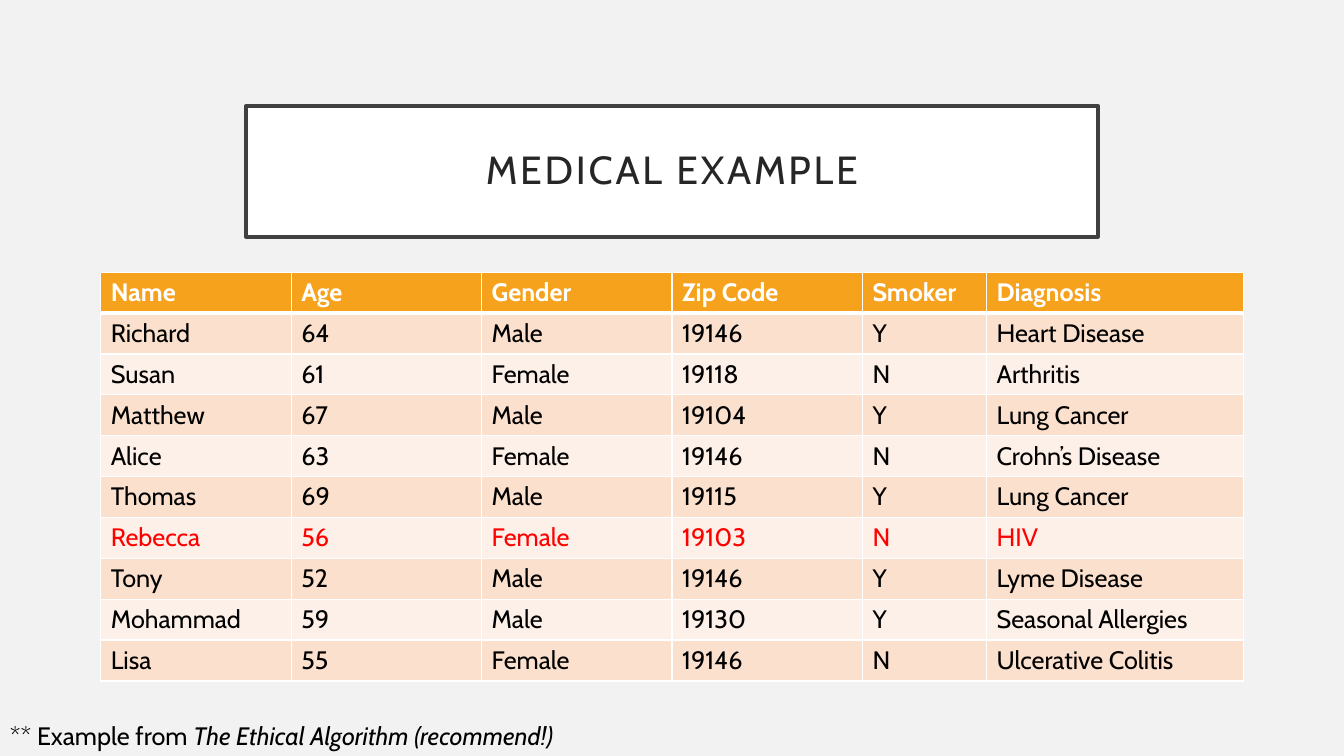
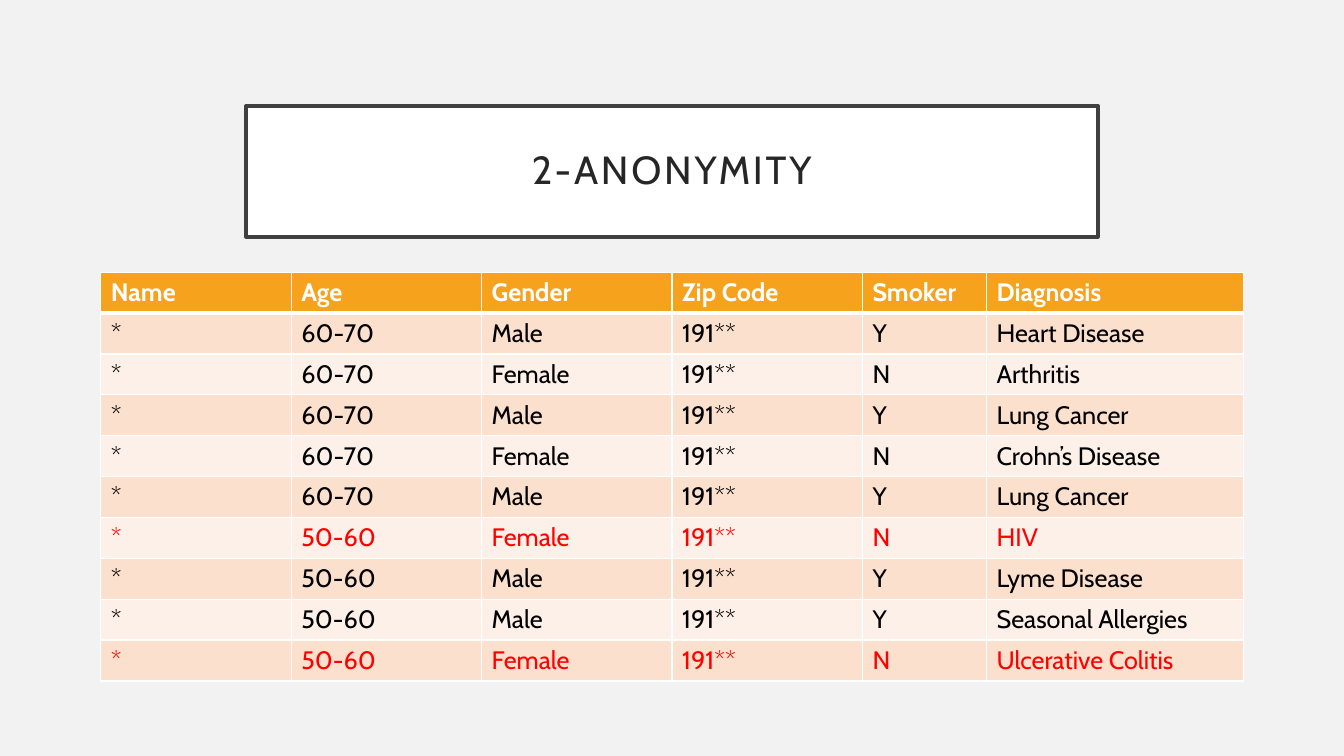
"""Build two slides showing a medical table before and after 2-anonymity."""
import dataclasses
import typing

import lxml.etree
import pptx
import pptx.dml.color
import pptx.enum.text
import pptx.oxml.ns
import pptx.presentation
import pptx.slide
import pptx.table
import pptx.text.text
import pptx.util


@dataclasses.dataclass(frozen=True)
class Theme:
    font: str = "Cabin"
    background: str = "F2F2F2"
    white: str = "FFFFFF"
    frame: str = "404040"
    title: str = "262626"
    header: str = "F6A21D"
    bands: tuple[str, str] = ("FBE0CD", "FDF0E8")
    text: str = "000000"
    highlight: str = "FF0000"
    title_size: float = 28
    body_size: float = 18
    title_tracking: float = 2
    frame_line: float = 2.5
    cell_line: float = 1
    header_line: float = 3


class Area(typing.NamedTuple):
    """A rectangle in percent of the slide's width and height."""
    left: float
    top: float
    width: float
    height: float


class Patient(typing.NamedTuple):
    name: str
    age: str
    gender: str
    zip_code: str
    smoker: str
    diagnosis: str

    def anonymous(self) -> "Patient":
        decade = int(self.age) // 10 * 10
        return self._replace(
            name="*", age=f"{decade}-{decade + 10}", zip_code=self.zip_code[:3] + "**")


class TextPart(typing.NamedTuple):
    text: str
    italic: bool = False


@dataclasses.dataclass(frozen=True)
class TableSlide:
    title: str
    patients: list[Patient]
    highlighted_rows: set[int]
    footnote: tuple[TextPart, ...] = ()


THEME = Theme()
SLIDE_WIDTH, SLIDE_HEIGHT = pptx.util.Inches(13.33), pptx.util.Inches(7.5)
TITLE_AREA = Area(18.3, 14, 63.4, 17.33)
COLUMN_SHARES = (14.17, 14.17, 14.17, 14.17, 9.23, 19.13)
ROW_SHARE = 5.41
FOOTNOTE_AREA = Area(0, 94.67, 42.83, 5.33)
HEADINGS = ("Name", "Age", "Gender", "Zip Code", "Smoker", "Diagnosis")
PATIENTS = [
    Patient("Richard", "64", "Male", "19146", "Y", "Heart Disease"),
    Patient("Susan", "61", "Female", "19118", "N", "Arthritis"),
    Patient("Matthew", "67", "Male", "19104", "Y", "Lung Cancer"),
    Patient("Alice", "63", "Female", "19146", "N", "Crohn’s Disease"),
    Patient("Thomas", "69", "Male", "19115", "Y", "Lung Cancer"),
    Patient("Rebecca", "56", "Female", "19103", "N", "HIV"),
    Patient("Tony", "52", "Male", "19146", "Y", "Lyme Disease"),
    Patient("Mohammad", "59", "Male", "19130", "Y", "Seasonal Allergies"),
    Patient("Lisa", "55", "Female", "19146", "N", "Ulcerative Colitis"),
]
SLIDES = (
    TableSlide(
        "MEDICAL EXAMPLE", PATIENTS, {6},
        (TextPart("** Example from "),
         TextPart("The Ethical Algorithm (recommend!)", italic=True))),
    TableSlide("2-ANONYMITY", [patient.anonymous() for patient in PATIENTS], {6, 9}),
)


def color(value: str) -> pptx.dml.color.RGBColor:
    return pptx.dml.color.RGBColor.from_string(value)


def across(share: float) -> pptx.util.Emu:
    return pptx.util.Emu(round(SLIDE_WIDTH * share / 100))


def down(share: float) -> pptx.util.Emu:
    return pptx.util.Emu(round(SLIDE_HEIGHT * share / 100))


def box(area: Area) -> tuple[pptx.util.Emu, ...]:
    return across(area.left), down(area.top), across(area.width), down(area.height)


def add_run(paragraph: pptx.text.text._Paragraph, text: str, size: float, ink: str,
            bold: bool = False, italic: bool = False) -> pptx.text.text._Run:
    run = paragraph.add_run()
    run.text = text
    run.font.name = THEME.font
    run.font.size = pptx.util.Pt(size)
    run.font.color.rgb = color(ink)
    run.font.bold = bold
    run.font.italic = italic
    return run


def draw_title(slide: pptx.slide.Slide, text: str) -> None:
    shape = slide.shapes.title
    shape.left, shape.top, shape.width, shape.height = box(TITLE_AREA)
    shape.fill.solid()
    shape.fill.fore_color.rgb = color(THEME.white)
    shape.line.color.rgb = color(THEME.frame)
    shape.line.width = pptx.util.Pt(THEME.frame_line)
    frame = shape.text_frame
    frame.word_wrap = True
    frame.auto_size = pptx.enum.text.MSO_AUTO_SIZE.NONE
    frame.vertical_anchor = pptx.enum.text.MSO_ANCHOR.MIDDLE
    inset = pptx.util.Inches(0.2)
    frame.margin_left = frame.margin_right = frame.margin_top = frame.margin_bottom = inset
    paragraph = frame.paragraphs[0]
    paragraph.alignment = pptx.enum.text.PP_ALIGN.CENTER
    paragraph.line_spacing = 0.9
    run = add_run(paragraph, text, THEME.title_size, THEME.title)
    run.font._element.set("spc", str(round(THEME.title_tracking * 100)))


def draw_borders(cell: pptx.table._Cell, row: int) -> None:
    properties = cell._tc.get_or_add_tcPr()
    thick_sides = {0: "lnB", 1: "lnT"}
    for side in ("lnL", "lnR", "lnT", "lnB"):
        width = THEME.header_line if thick_sides.get(row) == side else THEME.cell_line
        line = lxml.etree.SubElement(
            properties, pptx.oxml.ns.qn(f"a:{side}"), w=str(pptx.util.Pt(width)))
        fill = lxml.etree.SubElement(line, pptx.oxml.ns.qn("a:solidFill"))
        lxml.etree.SubElement(fill, pptx.oxml.ns.qn("a:srgbClr"), val=THEME.white)


def draw_cell(cell: pptx.table._Cell, text: str, row: int, highlighted: bool) -> None:
    is_header = row == 0
    draw_borders(cell, row)
    cell.fill.solid()
    cell.fill.fore_color.rgb = color(THEME.header if is_header else THEME.bands[(row - 1) % 2])
    body_ink = THEME.highlight if highlighted else THEME.text
    ink = THEME.white if is_header else body_ink
    add_run(cell.text_frame.paragraphs[0], text, THEME.body_size, ink, bold=is_header)


def draw_table(slide: pptx.slide.Slide, content: TableSlide) -> None:
    rows = [HEADINGS, *content.patients]
    area = Area(7.5, 36, sum(COLUMN_SHARES), ROW_SHARE * len(rows))
    table = slide.shapes.add_table(len(rows), len(HEADINGS), *box(area)).table
    table.horz_banding = False
    for column, share in zip(table.columns, COLUMN_SHARES):
        column.width = across(share)
    for index, values in enumerate(rows):
        table.rows[index].height = down(ROW_SHARE)
        for cell, text in zip(table.rows[index].cells, values):
            draw_cell(cell, text, index, index in content.highlighted_rows)


def draw_footnote(slide: pptx.slide.Slide, parts: tuple[TextPart, ...]) -> None:
    frame = slide.shapes.add_textbox(*box(FOOTNOTE_AREA)).text_frame
    frame.word_wrap = True
    frame.auto_size = pptx.enum.text.MSO_AUTO_SIZE.SHAPE_TO_FIT_TEXT
    for part in parts:
        add_run(frame.paragraphs[0], part.text, THEME.body_size, THEME.text, italic=part.italic)


def draw_slide(presentation: pptx.presentation.Presentation, content: TableSlide) -> None:
    slide = presentation.slides.add_slide(presentation.slide_layouts.get_by_name("Title Only"))
    draw_title(slide, content.title)
    draw_table(slide, content)
    if content.footnote:
        draw_footnote(slide, content.footnote)


def main() -> None:
    presentation = pptx.Presentation()
    presentation.slide_width, presentation.slide_height = SLIDE_WIDTH, SLIDE_HEIGHT
    background = presentation.slide_master.background.fill
    background.solid()
    background.fore_color.rgb = color(THEME.background)
    for content in SLIDES:
        draw_slide(presentation, content)
    presentation.save("out.pptx")


main()
